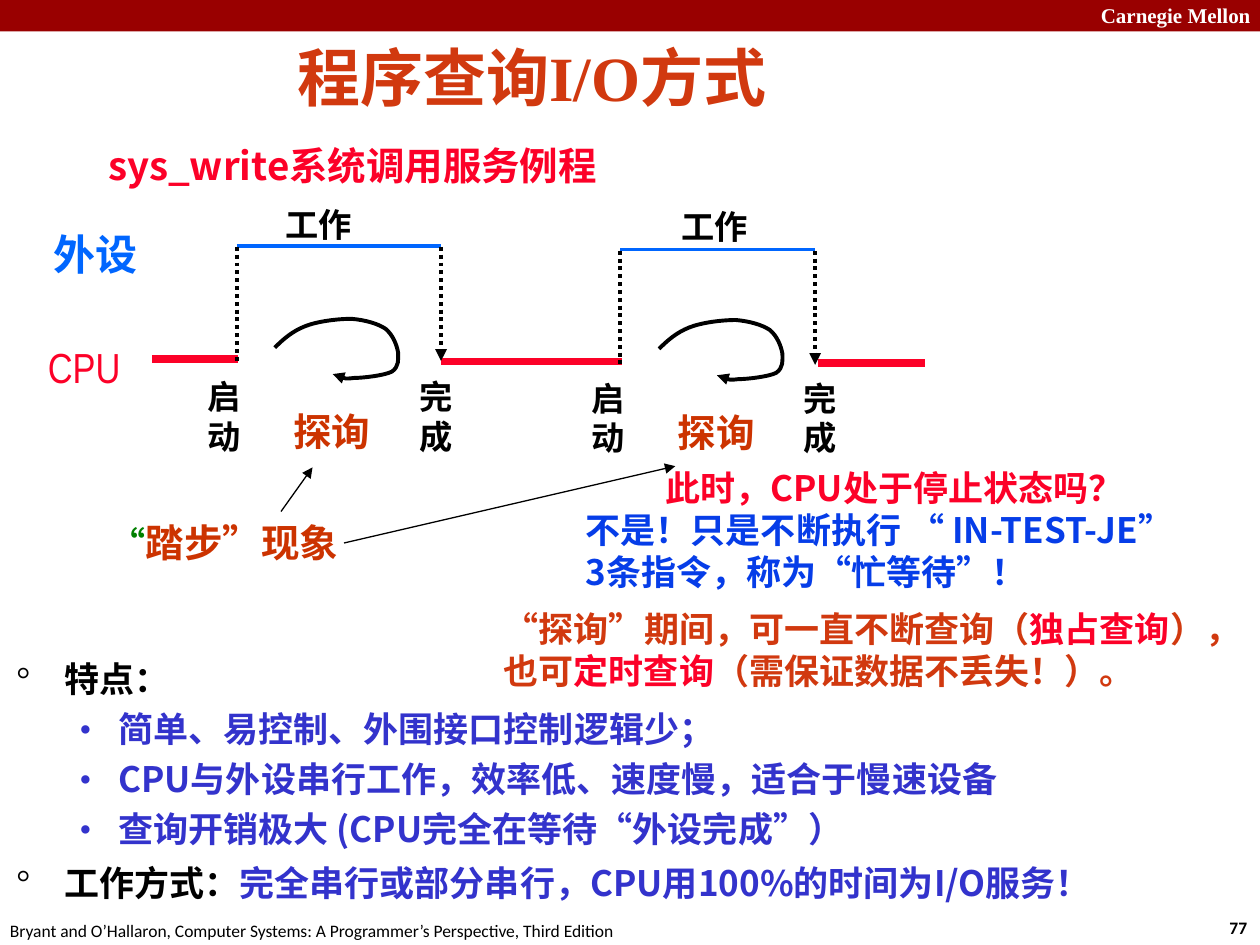
from lxml.etree import SubElement
from pptx import Presentation
from pptx.dml.color import RGBColor
from pptx.enum.dml import MSO_LINE
from pptx.enum.shapes import MSO_CONNECTOR, MSO_SHAPE
from pptx.enum.text import MSO_ANCHOR
from pptx.oxml.ns import qn
from pptx.util import Pt

TIMES, NARROW, CALIBRI, NOTO = "Times New Roman", "Arial Narrow", "Calibri", "Noto Sans CJK SC"
BLACK, WHITE, RED, BLUE = "000000", "FFFFFF", "FC0128", "0066FF"
RUST, ORANGE, VIOLET, ROYAL = "CC3300", "D1390F", "3333CC", "063DE8"


def color(value):
    return RGBColor.from_string(value)


class SlideBuilder:
    def __init__(self, slide):
        self.slide = slide

    def bar(self, left, top, width, height, fill):
        shape = self.slide.shapes.add_shape(
            MSO_SHAPE.RECTANGLE, Pt(left), Pt(top), Pt(width), Pt(height))
        shape.shadow.inherit = False
        shape.fill.solid()
        shape.fill.fore_color.rgb = color(fill)
        shape.line.fill.background()

    def runs(self, paragraph, parts, size, bold):
        """Each part is text, font, colour and, where it differs, a size."""
        for text, font_name, fill, *own_size in parts:
            run = paragraph.add_run()
            run.text = text
            font = run.font
            font.size = Pt(own_size[0] if own_size else size)
            font.bold, font.name = bold, font_name
            font.color.rgb = color(fill)
            SubElement(run.font._element, qn("a:ea"), typeface=NOTO)

    def text(self, box, parts, size, bold=True, wrap=True, anchor=MSO_ANCHOR.TOP):
        shape = self.slide.shapes.add_textbox(*map(Pt, box))
        frame = shape.text_frame
        frame.word_wrap = wrap
        frame.vertical_anchor = anchor
        self.runs(frame.paragraphs[0], parts, size, bold)

    def bullets(self, box, items, size):
        frame = self.slide.shapes.add_textbox(*map(Pt, box)).text_frame
        frame.word_wrap = True
        frame.margin_left = frame.margin_right = Pt(5)
        frame.margin_top = frame.margin_bottom = Pt(2)
        for index, (level, line_spacing, space, parts) in enumerate(items):
            paragraph = frame.add_paragraph() if index else frame.paragraphs[0]
            margin, indent, mark = ((27.4, -27.4, "°"), (58.3, -22.3, "•"))[level]
            paragraph.level = level
            paragraph.line_spacing = line_spacing
            paragraph.space_before = Pt(space)
            properties = paragraph._p.get_or_add_pPr()
            properties.set("marL", str(Pt(margin)))
            properties.set("indent", str(Pt(indent)))
            SubElement(properties, qn("a:buFont"), typeface=TIMES)
            SubElement(properties, qn("a:buChar"), char=mark)
            self.runs(paragraph, parts, size, True)

    def stroke(self, shape, fill, width, dash=None, arrow=False):
        shape.line.color.rgb = color(fill)
        shape.line.width = Pt(width)
        if dash:
            shape.line.dash_style = dash
        if arrow:
            outline = shape.element.spPr.find(qn("a:ln"))
            SubElement(outline, qn("a:tailEnd"), type="triangle")

    def line(self, start, end, fill, width, dash=None, arrow=False):
        connector = self.slide.shapes.add_connector(
            MSO_CONNECTOR.STRAIGHT, *map(Pt, (*start, *end)))
        self.stroke(connector, fill, width, dash, arrow)
        SubElement(connector.element.spPr, qn("a:effectLst"))

    def curve(self, start, segments, dx, dy):
        def place(point):
            return Pt(point[0] + dx), Pt(point[1] + dy)

        builder = self.slide.shapes.build_freeform(*place(start))
        builder.add_line_segments([place(segment[-1]) for segment in segments], close=False)
        shape = builder.convert_to_shape()
        # Turn each straight segment into a cubic one
        for straight, segment in zip(list(shape.element.iter(qn("a:lnTo"))), segments):
            outline = straight.getparent()
            outline.remove(straight)
            cubic = SubElement(outline, qn("a:cubicBezTo"))
            for x, y in map(place, segment):
                SubElement(cubic, qn("a:pt"), x=str(x - shape.left), y=str(y - shape.top))
        shape.shadow.inherit = False
        shape.fill.background()
        self.stroke(shape, BLACK, 2.25, arrow=True)


LOOP_START = (157, 198.7)
LOOP = [
    ((162, 193.7), (167, 189.4), (174.2, 186.5)),
    ((181.4, 183.6), (193, 182.2), (200.9, 182.2)),
    ((208.8, 182.9), (216, 185), (220.3, 187.9)),
    ((224.6, 191.5), (226.8, 197.3), (227.5, 201.6)),
    ((227.5, 205.2), (228.2, 209.5), (223.9, 212.4)),
    ((219.6, 214.6), (207.4, 216), (202.3, 216)),
    ((196.6, 216.7), (193, 215.3), (190.1, 213.8)),
]
# Start x, end x, top y, bottom y, left of the work label, shift of the loop
CYCLES = [
    (135.4, 252, 140.4, 206.3, 156.2, 0, 0),
    (354.5, 465.8, 142.6, 208.5, 382.3, 219.6, 0.7),
]


def main():
    presentation = Presentation()
    presentation.slide_width, presentation.slide_height = Pt(720), Pt(540)
    slide = presentation.slides.add_slide(presentation.slide_layouts[6])
    builder = SlideBuilder(slide)

    # Header, footer and title
    builder.bar(0, 0, 720, 18, "990000")
    builder.text((622, -2.2, 103, 21.6), [("Carnegie Mellon", TIMES, WHITE)], 12)
    builder.text((695.5, 520.6, 26.6, 19.4), [("77", CALIBRI, BLACK)], 10, wrap=False)
    builder.text((-1.4, 522, 365.8, 19.4),
                 [("Bryant and O’Hallaron, Computer Systems: A Programmer’s Perspective, "
                   "Third Edition", CALIBRI, BLACK)], 10, bold=False, wrap=False)
    builder.text((162.7, 18, 449.3, 51.1), [("程序查询I/O方式", TIMES, ORANGE)], 36,
                 anchor=MSO_ANCHOR.MIDDLE)

    # Features and working mode
    builder.bullets((4.3, 376.6, 704.2, 146.9), [
        (0, 0.9, 0, [("特点：", NOTO, BLACK)]),
        (1, 0.9, 7, [("简单、易控制、外围接口控制逻辑少；", NOTO, VIOLET)]),
        (1, 0.9, 7, [("CPU与外设串行工作，效率低、速度慢，适合于慢速设备", NOTO, VIOLET)]),
        (1, 0.9, 7, [("查询开销极大 (CPU完全在等待“外设完成”）", NOTO, VIOLET)]),
        (0, 1.0, 6.5, [("工作方式：", NOTO, BLACK),
                       ("完全串行或部分串行，CPU用100%的时间为I/O服务！", NOTO, VIOLET)]),
    ], 20)

    # Timeline: row names and processor activity
    builder.text((23.3, 127, 71.3, 36), [("外设", TIMES, BLUE)], 24)
    builder.text((20.2, 191.5, 71.3, 36), [("CPU", NARROW, RED)], 24, bold=False)
    for left, right, y in ((87.1, 136.1, 205.2), (252, 355.7, 206.6), (467.3, 528.5, 207.4)):
        builder.line((left, y), (right, y), RED, 4.5)

    # Timeline: two device cycles with polling
    for start, end, top, bottom, label_left, dx, dy in CYCLES:
        builder.line((start, top), (end, top), BLUE, 2.25)
        for x, arrow in ((start, False), (end, True)):
            builder.line((x, top + 0.7), (x, bottom), BLACK, 2.25, MSO_LINE.ROUND_DOT, arrow)
        builder.curve(LOOP_START, LOOP, dx, dy)
        builder.text((label_left, 113 + 2 * dy, 87.8, 30.2), [("工作", TIMES, BLACK)], 19)
        builder.text((111.6 + dx, 211.7 + dy, 41, 52.6), [("启动", TIMES, BLACK)], 19)
        builder.text((232.6 + dx, 211.7 + dy, 37.4, 52.6), [("完成", TIMES, BLACK)], 19)
        builder.text((160.6 + dx, 229.7 + dy, 74.2, 33.8), [("探询", TIMES, RUST)], 22)

    # Marking-time remark and its arrows
    builder.text((56.2, 293, 155.5, 33.8), [
        ("“", NARROW, "008000", 20), ("踏步", TIMES, RUST),
        ("”", NOTO, RUST), ("现象", TIMES, RUST)], 22)
    builder.line((160.6, 292.3), (178.6, 267.1), BLACK, 0.75, arrow=True)
    builder.line((196.6, 310.3), (385.9, 266.4), BLACK, 0.75, arrow=True)

    # Explanations
    builder.text((280.8, 343.4, 424.8, 55.4), [
        ("“", NOTO, ORANGE), ("探询", NARROW, ORANGE), ("”", NOTO, ORANGE),
        ("期间，可一直不断查询（", NARROW, ORANGE), ("独占查询", NARROW, RED),
        ("），也可", NARROW, ORANGE), ("定时查询", NARROW, RED),
        ("（需保证数据不丢失！）。", NARROW, ORANGE)], 20)
    builder.text((373, 262.8, 286.6, 31), [("此时，CPU处于停止状态吗？", NOTO, RED)], 20)
    builder.text((327.6, 287.3, 365.8, 55.4),
                 [("不是！只是不断执行 “ IN-TEST-JE” 3条指令，称为“忙等待”！", NOTO, ROYAL)], 20)
    builder.text((54.7, 77.8, 303.1, 33.8), [("sys_write系统调用服务例程", NOTO, RED)], 22)

    presentation.save("out.pptx")


if __name__ == "__main__":
    main()
